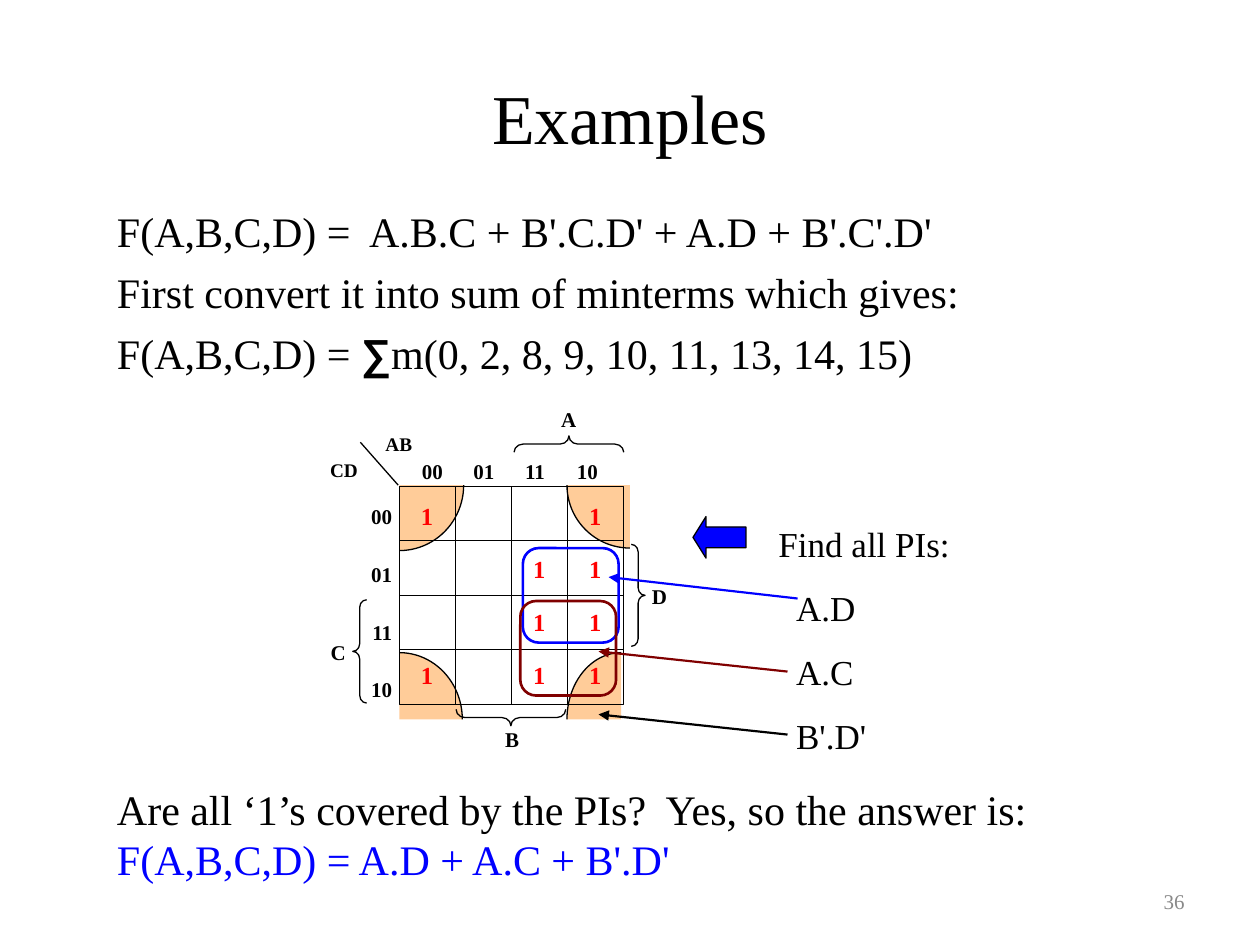
from dataclasses import dataclass

from lxml.etree import SubElement
from pptx import Presentation
from pptx.dml.color import RGBColor
from pptx.enum.shapes import MSO_CONNECTOR, MSO_SHAPE
from pptx.enum.text import MSO_ANCHOR, PP_ALIGN
from pptx.oxml.ns import qn
from pptx.util import Inches, Pt

SERIF = "Times New Roman"
BLACK, RED, BLUE, MAROON = "000000", "FF0000", "0000FF", "800000"
PEACH, GRAY = "FFCC99", "898989"
QUARTER_TURN = 54.0  # 90 degrees in the adjustment units of an arc

# Karnaugh map grid
MAP_LEFT, MAP_TOP, MAP_WIDTH, MAP_HEIGHT = 3.17, 3.86, 1.78, 1.73
CELLS = 4
CELL_WIDTH, CELL_HEIGHT = MAP_WIDTH / CELLS, MAP_HEIGHT / CELLS


@dataclass(frozen=True)
class Box:
    left: float
    top: float
    width: float
    height: float

    def lengths(self) -> list:
        return [Inches(v) for v in (self.left, self.top, self.width, self.height)]


@dataclass(frozen=True)
class Corner:
    """Quarter ellipse around a corner of the map."""
    x: float
    y: float
    width: float
    height: float
    quarter: int


@dataclass(frozen=True)
class Brace:
    box: Box
    kind: MSO_SHAPE
    rotation: int
    name: str
    name_box: Box


@dataclass(frozen=True)
class Pointer:
    start: tuple
    end: tuple
    color: str


def rgb(color: str) -> RGBColor:
    return RGBColor.from_string(color)


def add_span(para, text: str, *, size: float, color: str = BLACK,
             bold: bool = False, font: str = SERIF) -> None:
    span = para.add_run()
    span.text = text
    span.font.name, span.font.size, span.font.bold = font, Pt(size), bold
    span.font.color.rgb = rgb(color)


def add_text(page, box: Box, *lines: str, align=PP_ALIGN.LEFT,
             anchor=MSO_ANCHOR.TOP, gap: float = 0, **look):
    """Add a text box with one paragraph per line and gap points between."""
    frame = page.shapes.add_textbox(*box.lengths()).text_frame
    frame.word_wrap = True
    frame.vertical_anchor = anchor
    for index, line in enumerate(lines):
        para = frame.add_paragraph() if index else frame.paragraphs[0]
        para.alignment = align
        if index:
            para.space_before = Pt(gap)
        add_span(para, line, **look)
    return frame


def add_outline(page, kind, box: Box, *, color: str = BLACK,
                width: float = 0.75, fill: str = ""):
    shape = page.shapes.add_shape(kind, *box.lengths())
    shape.shadow.inherit = False
    shape.line.color.rgb = rgb(color)
    shape.line.width = Pt(width)
    if fill:
        shape.fill.solid()
        shape.fill.fore_color.rgb = rgb(fill)
    else:
        shape.fill.background()
    return shape


def add_line(page, start: tuple, end: tuple, *, color: str = BLACK,
             width: float = 0.75, arrow: bool = False) -> None:
    line = page.shapes.add_connector(
        MSO_CONNECTOR.STRAIGHT, *[Inches(v) for v in (*start, *end)])
    line.line.color.rgb = rgb(color)
    line.line.width = Pt(width)
    properties = line.element.spPr
    if arrow:
        SubElement(properties.find(qn("a:ln")), qn("a:tailEnd"), type="triangle")
    SubElement(properties, qn("a:effectLst"))


def add_corner(page, corner: Corner) -> None:
    box = Box(corner.x - corner.width, corner.y - corner.height,
              2 * corner.width, 2 * corner.height)
    arc = add_outline(page, MSO_SHAPE.ARC, box, fill=PEACH)
    arc.adjustments[0] = corner.quarter * QUARTER_TURN
    arc.adjustments[1] = (corner.quarter + 1) % 4 * QUARTER_TURN


def add_brace(page, brace: Brace) -> None:
    shape = add_outline(page, brace.kind, brace.box)
    shape.adjustments[0] = 0.55
    shape.rotation = brace.rotation
    add_text(page, brace.name_box, brace.name, align=PP_ALIGN.CENTER,
             size=12, bold=True)


def add_map(page) -> None:
    # Shaded corners and grid
    for corner in (Corner(4.93, 5.71, 0.43, 0.53, 2), Corner(3.17, 5.71, 0.5, 0.53, 3),
                   Corner(5, 3.85, 0.5, 0.5, 1), Corner(3.17, 3.85, 0.51, 0.52, 0)):
        add_corner(page, corner)
    add_outline(page, MSO_SHAPE.RECTANGLE,
                Box(MAP_LEFT, MAP_TOP, MAP_WIDTH, MAP_HEIGHT))
    for index in range(1, CELLS):
        x, y = MAP_LEFT + index * CELL_WIDTH, MAP_TOP + index * CELL_HEIGHT
        add_line(page, (x, MAP_TOP), (x, MAP_TOP + MAP_HEIGHT))
        add_line(page, (MAP_LEFT, y), (MAP_LEFT + MAP_WIDTH, y))

    # Row and column labels
    add_text(page, Box(2.82, 3.95, 0.39, 1.79), "00", "01", "11", "10",
             align=PP_ALIGN.RIGHT, gap=18.5, size=12, bold=True)
    columns = add_text(page, Box(3.25, 3.59, 1.66, 0.35))
    para = columns.paragraphs[0]
    tabs = SubElement(para._p.get_or_add_pPr(), qn("a:tabLst"))
    for index in range(1, CELLS):
        SubElement(tabs, qn("a:tab"), pos=str(Inches(0.41 * index)), algn="l")
    add_span(para, "00\t01\t11\t10", size=12, bold=True)
    add_line(page, (3.16, 3.85), (2.86, 3.51))
    for name, box in (("CD", Box(2.42, 3.59, 0.62, 0.29)),
                      ("AB", Box(2.91, 3.38, 0.51, 0.29))):
        add_text(page, box, name, align=PP_ALIGN.CENTER, size=11, bold=True)

    # Variable braces
    left, right = MSO_SHAPE.LEFT_BRACE, MSO_SHAPE.RIGHT_BRACE
    for brace in (
            Brace(Box(4.45, 3.09, 0.13, 0.87), left, 90, "A", Box(4.35, 3.18, 0.33, 0.27)),
            Brace(Box(3.99, 5.26, 0.13, 0.87), left, 270, "B", Box(3.9, 5.72, 0.33, 0.26)),
            Brace(Box(2.8, 4.76, 0.11, 0.82), left, 0, "C", Box(2.52, 5.03, 0.33, 0.35)),
            Brace(Box(5.01, 4.32, 0.11, 0.81), right, 0, "D", Box(5.07, 4.58, 0.33, 0.35))):
        add_brace(page, brace)

    # Minterms, as the columns that hold a 1 in each row
    for row, filled in enumerate(((0, 3), (2, 3), (2, 3), (0, 2, 3))):
        for column in filled:
            box = Box(MAP_LEFT + column * CELL_WIDTH, 3.93 + 0.42 * row, 0.44, 0.35)
            add_text(page, box, "1", align=PP_ALIGN.CENTER, size=14,
                     color=RED, bold=True)

    # Groups of adjacent minterms
    for left_edge, top, color in ((4.15, 4.35, BLUE), (4.13, 4.77, MAROON)):
        add_outline(page, MSO_SHAPE.ROUNDED_RECTANGLE,
                    Box(left_edge, top, 0.76, 0.75), color=color, width=1.5)


def main() -> None:
    deck = Presentation()
    deck.slide_width, deck.slide_height = Inches(10), Inches(7.5)
    page = deck.slides.add_slide(deck.slide_layouts[5])

    # Title
    title = page.shapes.title
    title.left, title.top, title.width, title.height = Box(0.5, 0.3, 9, 1.25).lengths()
    title.text_frame.vertical_anchor = MSO_ANCHOR.MIDDLE
    heading = title.text_frame.paragraphs[0]
    heading.alignment = PP_ALIGN.CENTER
    add_span(heading, "Examples", size=40)

    # Function and its minterms
    body = add_text(page, Box(0.83, 1.58, 8.75, 1.5),
                    "F(A,B,C,D) =  A.B.C + B'.C.D' + A.D + B'.C'.D'",
                    "First convert it into sum of minterms which gives:",
                    "F(A,B,C,D) = ", gap=6, size=24)
    add_span(body.paragraphs[2], "∑", size=24, bold=True, font="Arial")
    add_span(body.paragraphs[2], "m(0, 2, 8, 9, 10, 11, 13, 14, 15)", size=24)

    # Prime implicants
    implicants = add_text(page, Box(6.08, 4.1, 2.75, 1.96), "Find all PIs:",
                          "A.D", "A.C", "B'.D'", gap=12.5, size=20)
    for para in implicants.paragraphs[1:]:
        para._p.get_or_add_pPr().set("marL", str(Inches(0.14)))
    arrow = add_outline(page, MSO_SHAPE.LEFT_ARROW, Box(5.5, 4.1, 0.42, 0.33), fill=BLUE)
    arrow.adjustments[1] = 0.313

    add_map(page)
    for pointer in (Pointer((6.33, 4.75), (4.83, 4.58), BLUE),
                    Pointer((6.25, 5.33), (4.75, 5.17), MAROON),
                    Pointer((6.25, 5.83), (4.75, 5.67), BLACK)):
        add_line(page, pointer.start, pointer.end, color=pointer.color,
                 width=1.25, arrow=True)

    # Answer and page number
    answer = add_text(page, Box(0.83, 6.17, 7.75, 0.9),
                      "Are all ‘1’s covered by the PIs?  Yes, so the answer is: ", size=24)
    add_span(answer.paragraphs[0], "F(A,B,C,D) = A.D + A.C + B'.D'", size=24, color=BLUE)
    add_text(page, Box(7.17, 6.95, 2.33, 0.4), "36", align=PP_ALIGN.RIGHT,
             anchor=MSO_ANCHOR.MIDDLE, size=12, color=GRAY)

    deck.save("out.pptx")


if __name__ == "__main__":
    main()
